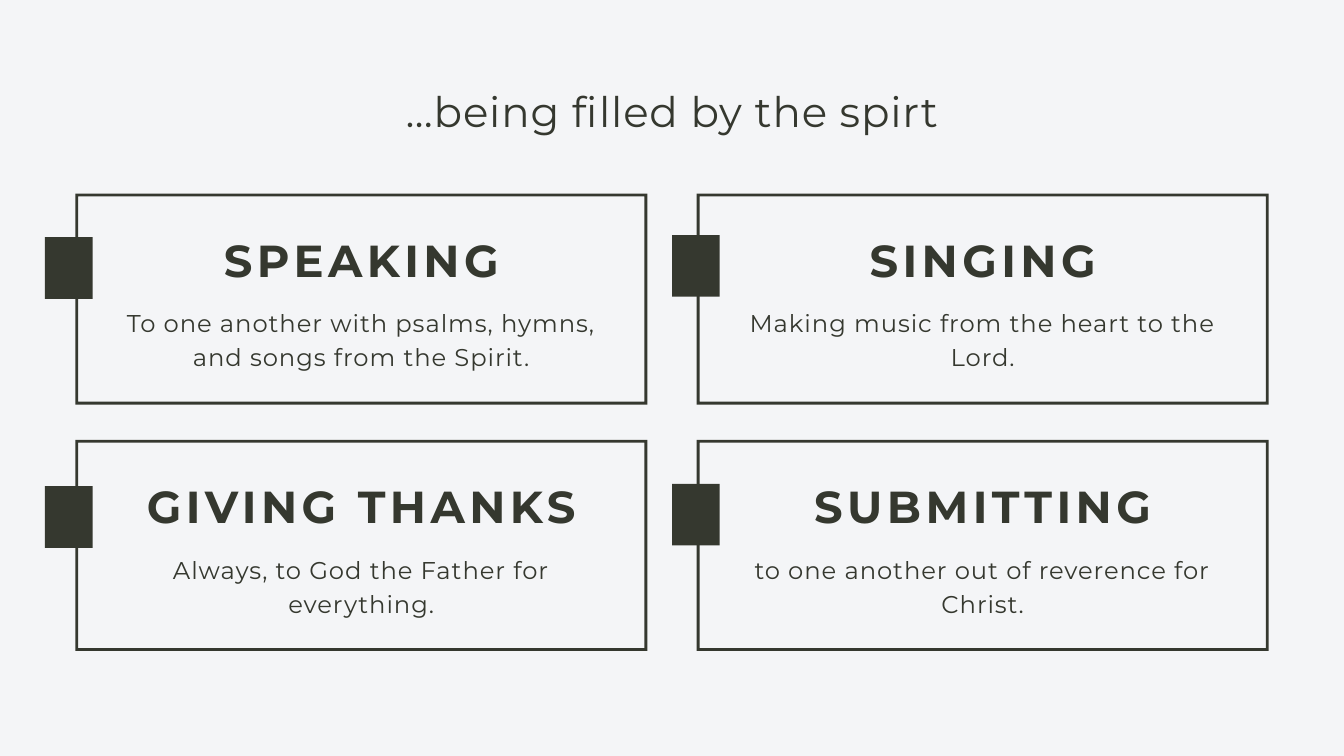
from dataclasses import dataclass

from pptx import Presentation
from pptx.dml.color import RGBColor
from pptx.enum.shapes import MSO_SHAPE
from pptx.enum.text import MSO_ANCHOR, MSO_AUTO_SIZE, PP_ALIGN
from pptx.util import Pt


@dataclass(frozen=True)
class TextStyle:
    size: float
    line_spacing: float
    letter_spacing: float
    bold: bool = False


class Theme:
    font = "Montserrat"
    background = RGBColor.from_string("F4F5F7")
    ink = RGBColor.from_string("35382F")
    title = TextStyle(45, 60.3, 0.9)
    heading = TextStyle(48, 67.2, 4.8, bold=True)
    body = TextStyle(26, 36.4, 1)


# Card grid, in points
CARD_WIDTH, CARD_HEIGHT = 612.7, 226
LEFTS = (80.8, 746.5)
TOPS = (207.4, 471.3)
BORDER = 3

# Heading, description, column, row, left and top of the marker
CARDS = [
    ("SPEAKING", "To one another with psalms, hymns, and songs from the Spirit.", 0, 0, 48.2, 254.2),
    ("GIVING THANKS", "Always, to God the Father for everything.", 0, 1, 48.2, 521),
    ("SINGING", "Making music from the heart to the Lord.", 1, 0, 720, 252),
    ("SUBMITTING", "to one another out of reverence for Christ.", 1, 1, 720, 518.5),
]


class SlideBuilder:
    def __init__(self, slide, theme):
        self.slide = slide
        self.theme = theme
        fill = slide.background.fill
        fill.solid()
        fill.fore_color.rgb = theme.background

    def set_text(self, shape, text, style):
        frame = shape.text_frame
        frame.word_wrap = True
        frame.auto_size = MSO_AUTO_SIZE.NONE
        frame.vertical_anchor = MSO_ANCHOR.TOP
        frame.margin_left = frame.margin_right = 0
        frame.margin_top = frame.margin_bottom = 0
        paragraph = frame.paragraphs[0]
        paragraph.text = text
        paragraph.alignment = PP_ALIGN.CENTER
        paragraph.line_spacing = Pt(style.line_spacing)
        font = paragraph.font
        font.name = self.theme.font
        font.size = Pt(style.size)
        font.bold = style.bold
        font.color.rgb = self.theme.ink
        # Letter spacing is stored in hundredths of a point
        font._rPr.set("spc", str(round(style.letter_spacing * 100)))

    def title(self, text, left, top, width, height):
        shape = self.slide.shapes.title
        shape.left, shape.top = Pt(left), Pt(top)
        shape.width, shape.height = Pt(width), Pt(height)
        self.set_text(shape, text, self.theme.title)

    def text(self, text, style, left, top, width, height):
        shape = self.slide.shapes.add_textbox(Pt(left), Pt(top), Pt(width), Pt(height))
        self.set_text(shape, text, style)

    def block(self, kind, left, top, width, height):
        shape = self.slide.shapes.add_shape(kind, Pt(left), Pt(top), Pt(width), Pt(height))
        shape.shadow.inherit = False
        shape.fill.solid()
        shape.fill.fore_color.rgb = self.theme.ink
        shape.line.fill.background()
        return shape

    def card(self, heading, body, left, top):
        border = self.block(MSO_SHAPE.FRAME, left, top, CARD_WIDTH, CARD_HEIGHT)
        border.adjustments[0] = BORDER / CARD_HEIGHT
        text_left, text_width = left + 51.5, 509.8
        self.text(heading, self.theme.heading, text_left, top + 32.4, text_width, 64.8)
        self.text(body, self.theme.body, text_left, top + 118.1, text_width, 70.6)

    def marker(self, left, top):
        self.block(MSO_SHAPE.RECTANGLE, left, top, 51, 66)


def main():
    presentation = Presentation()
    presentation.slide_width, presentation.slide_height = Pt(1440), Pt(810)
    slide = presentation.slides.add_slide(presentation.slide_layouts[5])
    builder = SlideBuilder(slide, Theme)

    # Title
    builder.title("…being filled by the spirt", 131, 85.7, 1178.6, 60.5)

    # Cards with their markers
    for heading, body, column, row, marker_left, marker_top in CARDS:
        builder.card(heading, body, LEFTS[column], TOPS[row])
        builder.marker(marker_left, marker_top)

    presentation.save("out.pptx")


if __name__ == "__main__":
    main()
